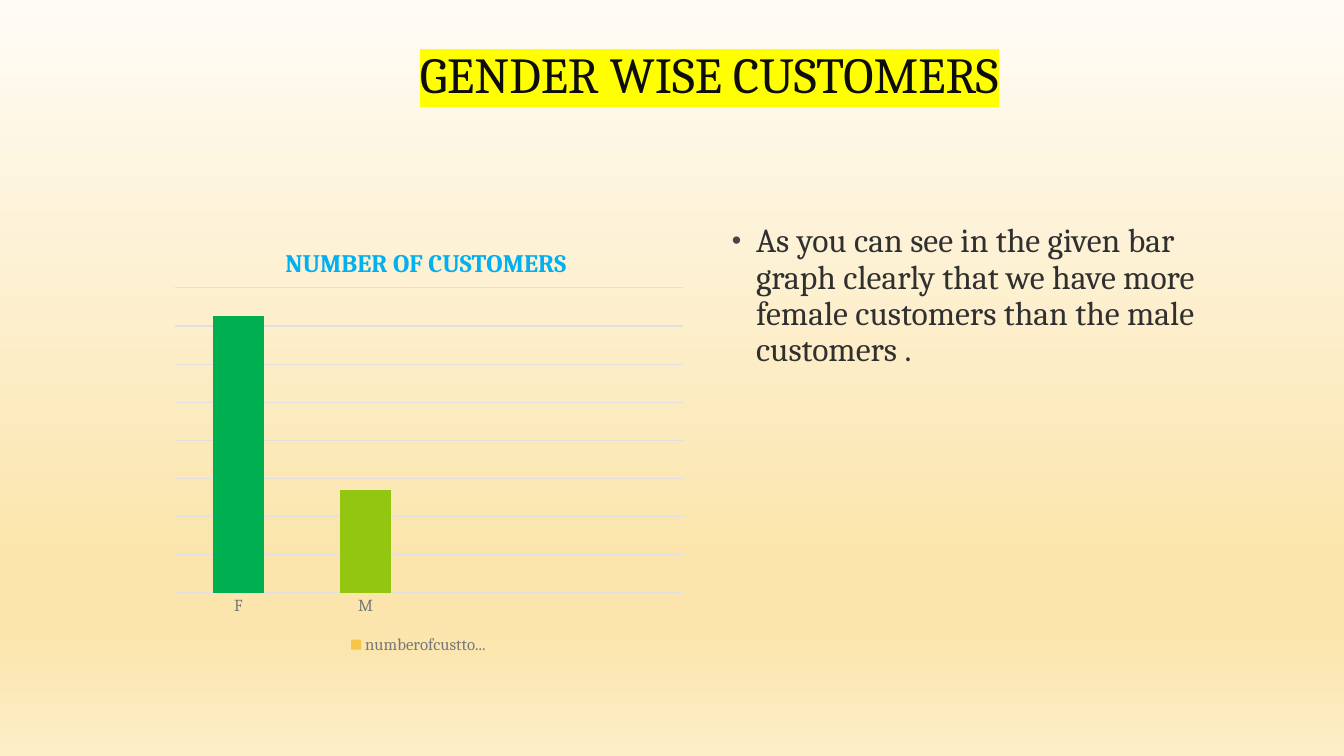
import pptx
import pptx.chart.data
import pptx.dml.color
import pptx.enum.chart
import pptx.enum.text
import pptx.oxml
import pptx.util

Inch, Pt = pptx.util.Inches, pptx.util.Pt
FACE = "Cambria"
NS = ('xmlns:a="http://schemas.openxmlformats.org/drawingml/2006/main" '
      'xmlns:c="http://schemas.openxmlformats.org/drawingml/2006/chart" '
      'xmlns:p="http://schemas.openxmlformats.org/presentationml/2006/main"')
HUES = {"head": "0D0D0D", "mark": "FFFF00", "text": "303030", "dot": "454545",
        "title": "00B0F0", "label": "787878", "grid": "E0E0E0",
        "series": "F7C547", "F": "00B050", "M": "92C610"}
STOPS = {0: "FFFCF6", 74: "FBE5AC", 83: "FBE5AC", 100: "FDEEC8"}
TOP, WIDE, HIGH = 2.17, 5.25, 4.58
LEFT, RIGHT = 1.63, 7.16


def style(font, size, hue, bold=False):
    font.name, font.size, font.bold = FACE, Pt(size), bold
    font.color.rgb = pptx.dml.color.RGBColor.from_string(HUES[hue])


def layout(x, y, w=None, h=None, inner=False):
    """Build a manual chart layout from shares of the chart's size."""
    parts = '<c:layoutTarget val="inner"/>' if inner else ""
    parts += '<c:xMode val="edge"/><c:yMode val="edge"/>'
    for tag, val in zip("xywh", (x, y, w, h)):
        parts += f'<c:{tag} val="{val}"/>' if val is not None else ""
    return pptx.oxml.parse_xml(
        f"<c:layout {NS}><c:manualLayout>{parts}</c:manualLayout></c:layout>")


deck = pptx.Presentation()
deck.slide_width, deck.slide_height = Inch(13.33), Inch(7.5)
slide = deck.slides.add_slide(deck.slide_layouts[6])

# Background
stops = "".join(f'<a:gs pos="{pos * 1000}"><a:srgbClr val="{hue}"/></a:gs>'
                for pos, hue in STOPS.items())
slide.element.cSld.insert(0, pptx.oxml.parse_xml(
    f'<p:bg {NS}><p:bgPr><a:gradFill rotWithShape="1"><a:gsLst>{stops}</a:gsLst>'
    '<a:lin ang="5400000" scaled="0"/></a:gradFill><a:effectLst/></p:bgPr></p:bg>'))

# Heading
box = slide.shapes.add_textbox(Inch(1.66), Inch(0.42), Inch(10.75), Inch(0.67))
box.text_frame.word_wrap = True
box.text_frame.vertical_anchor = pptx.enum.text.MSO_ANCHOR.BOTTOM
para = box.text_frame.paragraphs[0]
para.alignment = pptx.enum.text.PP_ALIGN.CENTER
para.line_spacing = 0.9
style(para.font, 36, "head")
run = para.add_run()
run.text = "GENDER WISE CUSTOMERS"
style(run.font, 36, "head")
run.font.fill._xPr.find(pptx.oxml.ns.qn("a:solidFill")).addnext(pptx.oxml.parse_xml(
    f'<a:highlight {NS}><a:srgbClr val="{HUES["mark"]}"/></a:highlight>'))

# Chart
data = pptx.chart.data.CategoryChartData()
data.categories = ["F", "M", "", ""]
data.add_series("numberofcusttomers", [100, 98, None, None])
chart = slide.shapes.add_chart(
    pptx.enum.chart.XL_CHART_TYPE.COLUMN_CLUSTERED,
    Inch(LEFT), Inch(TOP), Inch(WIDE), Inch(HIGH), data).chart
style(chart.font, 10, "text")

chart.has_title = True
para = chart.chart_title.text_frame.paragraphs[0]
run = para.add_run()
run.text = "NUMBER OF CUSTOMERS"
style(run.font, 18, "title", True)
chart.chart_title.include_in_layout = False
title = chart.chart_title._element
for old in title.findall(pptx.oxml.ns.qn("c:layout")):
    title.remove(old)
title.find(pptx.oxml.ns.qn("c:tx")).addnext(layout(0.22, 0.05))

plot = chart.plots[0]
plot.gap_width = 150
plot.vary_by_categories = False
bars = plot.series[0]
fills = [bars.format.fill] + [bars.points[i].format.fill for i in range(2)]
for fill, hue in zip(fills, ("series", "F", "M")):
    fill.solid()
    fill.fore_color.rgb = pptx.dml.color.RGBColor.from_string(HUES[hue])

area = chart._chartSpace.chart.plotArea
for old in area.findall(pptx.oxml.ns.qn("c:layout")):
    area.remove(old)
area.insert(0, layout(0.02, 0.15, 0.96, 0.66, inner=True))

cats = chart.category_axis
cats.major_tick_mark = pptx.enum.chart.XL_TICK_MARK.NONE
cats.format.line.fill.background()
style(cats.tick_labels.font, 12, "label")

vals = chart.value_axis
vals.visible = False
vals.minimum_scale, vals.maximum_scale, vals.major_unit = 96.81, 100.33, 0.44
vals.has_major_gridlines = True
line = vals.major_gridlines.format.line
line.width = Pt(0.75)
line.color.rgb = pptx.dml.color.RGBColor.from_string(HUES["grid"])

chart.has_legend = True
legend = chart.legend
legend.position = pptx.enum.chart.XL_LEGEND_POSITION.BOTTOM
legend.include_in_layout = False
style(legend.font, 12, "label")
for old in legend._element.findall(pptx.oxml.ns.qn("c:layout")):
    legend._element.remove(old)
legend._element.find(pptx.oxml.ns.qn("c:legendPos")).addnext(
    layout(0.35, 0.89, 0.26, 0.07))

# Remark
box = slide.shapes.add_textbox(Inch(RIGHT), Inch(TOP), Inch(WIDE), Inch(HIGH))
box.text_frame.word_wrap = True
para = box.text_frame.paragraphs[0]
props = para._p.get_or_add_pPr()
props.set("marL", str(Inch(0.24)))
props.set("indent", str(-Inch(0.24)))
for bullet in (f'<a:buClr {NS}><a:srgbClr val="{HUES["dot"]}"/></a:buClr>',
               f'<a:buSzPct {NS} val="80000"/>',
               f'<a:buFont {NS} typeface="Arial"/>',
               f'<a:buChar {NS} char="•"/>'):
    props.append(pptx.oxml.parse_xml(bullet))
para.line_spacing = 0.9
para.space_before = Pt(18)
style(para.font, 24, "text")
run = para.add_run()
run.text = ("As you can see in the given bar graph clearly that we have more "
            "female customers than the male customers .")
style(run.font, 24, "text")

deck.save("out.pptx")
